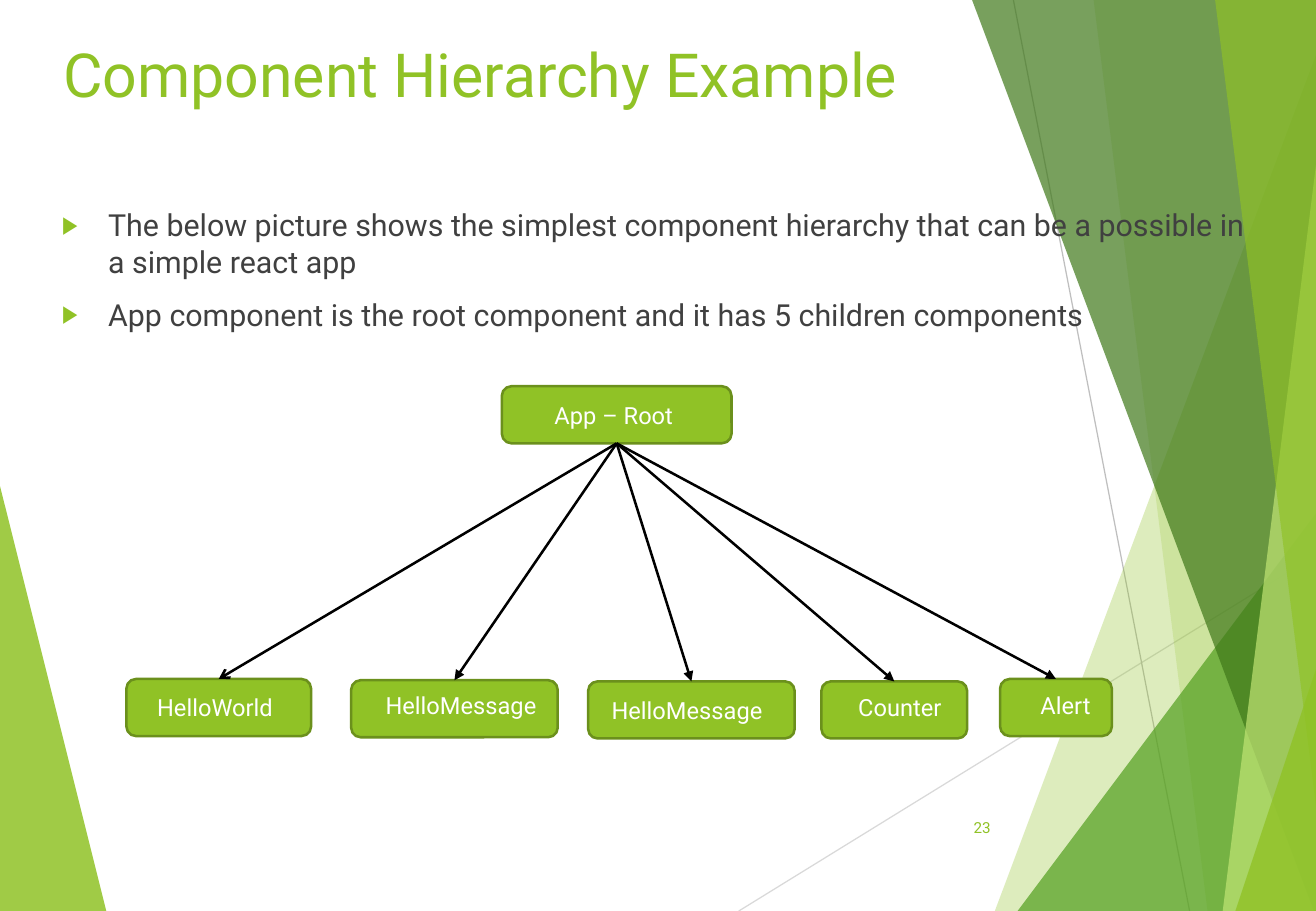
"""Builds the component hierarchy slide."""
from lxml.etree import SubElement
from pptx import Presentation
from pptx.dml.color import RGBColor
from pptx.enum.shapes import MSO_CONNECTOR, MSO_SHAPE
from pptx.enum.text import MSO_ANCHOR, MSO_AUTO_SIZE, PP_ALIGN
from pptx.oxml.ns import qn
from pptx.util import Inches, Pt

GREEN = RGBColor(0x90, 0xC2, 0x26)
DARK_GREEN = RGBColor(0x6B, 0x90, 0x1C)
LEAF = RGBColor(0x54, 0xA0, 0x21)
FOREST = RGBColor(0x3F, 0x78, 0x19)
LIME = RGBColor(0xC0, 0xE4, 0x74)
LIGHT_GRAY = RGBColor(0xD9, 0xD9, 0xD9)
GRAY = RGBColor(0xBF, 0xBF, 0xBF)
CHARCOAL = RGBColor(0x40, 0x40, 0x40)
BLACK = RGBColor(0, 0, 0)
WHITE = RGBColor(0xFF, 0xFF, 0xFF)

WIDTH, HEIGHT = 10.83, 7.5
BOX_HEIGHT = 0.47

LEFT_FACET = ([(0, 4.39), (0.53, HEIGHT), (0, HEIGHT)], GREEN, 85)
RAYS = [
    ((6.08, HEIGHT), (WIDTH, 4.57), LIGHT_GRAY),
    ((8.34, 0), (9.79, HEIGHT), GRAY),
]
RIGHT_FACETS = [
    ([(10.56, 0), (8.17, HEIGHT), (WIDTH, HEIGHT), (WIDTH, 0)], GREEN, 30),
    ([(8.54, 0), (9.96, HEIGHT), (WIDTH, HEIGHT), (WIDTH, 0)], GREEN, 20),
    ([(7.86, HEIGHT), (WIDTH, 4.29), (WIDTH, HEIGHT)], LEAF, 72),
    ([(8.31, 0), (10.51, HEIGHT), (WIDTH, HEIGHT), (WIDTH, 0)], FOREST, 70),
    ([(10.63, 0), (9.83, HEIGHT), (WIDTH, HEIGHT), (WIDTH, 0)], LIME, 70),
    ([(9.57, 0), (10.68, HEIGHT), (WIDTH, HEIGHT), (WIDTH, 0)], GREEN, 65),
    ([(9.55, HEIGHT), (WIDTH, 5.35), (WIDTH, HEIGHT)], GREEN, 80),
]
BULLETS = [
    "The below picture shows the simplest component hierarchy that can be "
    "a possible in a simple react app",
    "App component is the root component and it has 5 children components",
]
CHILDREN = [
    ("HelloWorld", 1.04, 5.59, 1.52, 0.23, 0, "arrow"),
    ("HelloMessage", 2.89, 5.6, 1.7, 0.26, 0.03, "triangle"),
    ("HelloMessage", 4.84, 5.61, 1.7, 0.17, 0, "triangle"),
    ("Counter", 6.76, 5.61, 1.2, 0.28, 0.02, "triangle"),
    ("Alert", 8.23, 5.59, 0.92, 0.31, 0.02, "triangle"),
]


class SlideBuilder:
    """Holds the type style and the current slide."""

    def __init__(self, page, font="Roboto"):
        self.page = page
        self.font = font

    def style(self, para, size, color):
        for span in para.runs:
            span.font.name = self.font
            span.font.size = Pt(size)
            span.font.color.rgb = color

    def facet(self, points, color, opacity):
        start, *rest = points
        builder = self.page.shapes.build_freeform(*start, scale=Inches(1))
        builder.add_line_segments(rest, close=True)
        shape = builder.convert_to_shape()
        shape.shadow.inherit = False
        shape.line.fill.background()
        shape.fill.solid()
        shape.fill.fore_color.rgb = color
        tint = shape.element.spPr.find(qn("a:solidFill"))[0]
        SubElement(tint, qn("a:alpha"), val=str(opacity * 1000))

    def line(self, start, end, color, width):
        ends = [Inches(value) for value in (*start, *end)]
        line = self.page.shapes.add_connector(MSO_CONNECTOR.STRAIGHT, *ends)
        line.line.color.rgb = color
        line.line.width = Pt(width)
        SubElement(line.element.spPr, qn("a:effectLst"))
        return line

    def arrow(self, parent, child, head):
        arrow = self.line((0, 0), (1, 1), BLACK, 1.5)
        arrow.begin_connect(parent, 2)
        arrow.end_connect(child, 0)
        outline = arrow.element.spPr.find(qn("a:ln"))
        SubElement(outline, qn("a:tailEnd"), type=head)

    def placeholder(self, index, left, top, width, height):
        holder = self.page.placeholders[index]
        holder.left, holder.top = Inches(left), Inches(top)
        holder.width, holder.height = Inches(width), Inches(height)
        holder.text_frame.auto_size = MSO_AUTO_SIZE.NONE
        holder.element.getparent().append(holder.element)
        return holder.text_frame

    def title(self, text):
        frame = self.placeholder(0, 0.42, 0.22, 9.99, 0.77)
        frame.text = text
        frame.vertical_anchor = MSO_ANCHOR.MIDDLE
        para = frame.paragraphs[0]
        para.alignment = PP_ALIGN.LEFT
        self.style(para, 36, GREEN)

    def bullets(self, items):
        frame = self.placeholder(1, 0.41, 1.65, 9.99, 5.32)
        frame.text = "\n".join(items)
        frame.vertical_anchor = MSO_ANCHOR.TOP
        for number, para in enumerate(frame.paragraphs):
            props = para._p.get_or_add_pPr()
            props.set("marL", str(Inches(0.38)))
            props.set("indent", str(-Inches(0.38)))
            color = SubElement(props, qn("a:buClr"))
            SubElement(color, qn("a:srgbClr"), val=str(GREEN))
            SubElement(props, qn("a:buSzPct"), val="80000")
            SubElement(props, qn("a:buChar"), char="▶")
            para.space_before = Pt(10 if number else 0)
            self.style(para, 18, CHARCOAL)

    def component(self, name, left, top, width, inset, lift=0):
        box = self.page.shapes.add_shape(
            MSO_SHAPE.ROUNDED_RECTANGLE,
            Inches(left), Inches(top), Inches(width), Inches(BOX_HEIGHT))
        box.shadow.inherit = False
        box.fill.solid()
        box.fill.fore_color.rgb = GREEN
        box.line.color.rgb = DARK_GREEN
        box.line.width = Pt(1.5)
        frame = box.text_frame
        frame.text = name
        frame.vertical_anchor = MSO_ANCHOR.MIDDLE
        frame.margin_left, frame.margin_right = Inches(inset), 0
        frame.margin_top, frame.margin_bottom = 0, Inches(2 * lift)
        frame.paragraphs[0].alignment = PP_ALIGN.LEFT
        self.style(frame.paragraphs[0], 14, WHITE)
        return box

    def page_number(self, text):
        box = self.page.shapes.add_textbox(
            Inches(7.64), Inches(6.61), Inches(0.61), Inches(0.4))
        frame = box.text_frame
        frame.word_wrap = True
        frame.text = text
        frame.vertical_anchor = MSO_ANCHOR.MIDDLE
        frame.paragraphs[0].alignment = PP_ALIGN.RIGHT
        self.style(frame.paragraphs[0], 9, GREEN)


def main():
    deck = Presentation()
    deck.slide_width, deck.slide_height = Inches(WIDTH), Inches(HEIGHT)
    slide = SlideBuilder(deck.slides.add_slide(deck.slide_layouts[1]))

    slide.facet(*LEFT_FACET)
    for start, end, color in RAYS:
        slide.line(start, end, color, 0.75)
    for facet in RIGHT_FACETS:
        slide.facet(*facet)

    slide.title("Component Hierarchy Example")
    slide.bullets(BULLETS)
    root = slide.component("App – Root", 4.13, 3.18, 1.89, 0.41)
    for *layout, head in CHILDREN:
        slide.arrow(root, slide.component(*layout), head)
    slide.page_number("23")
    deck.save("out.pptx")


if __name__ == "__main__":
    main()
